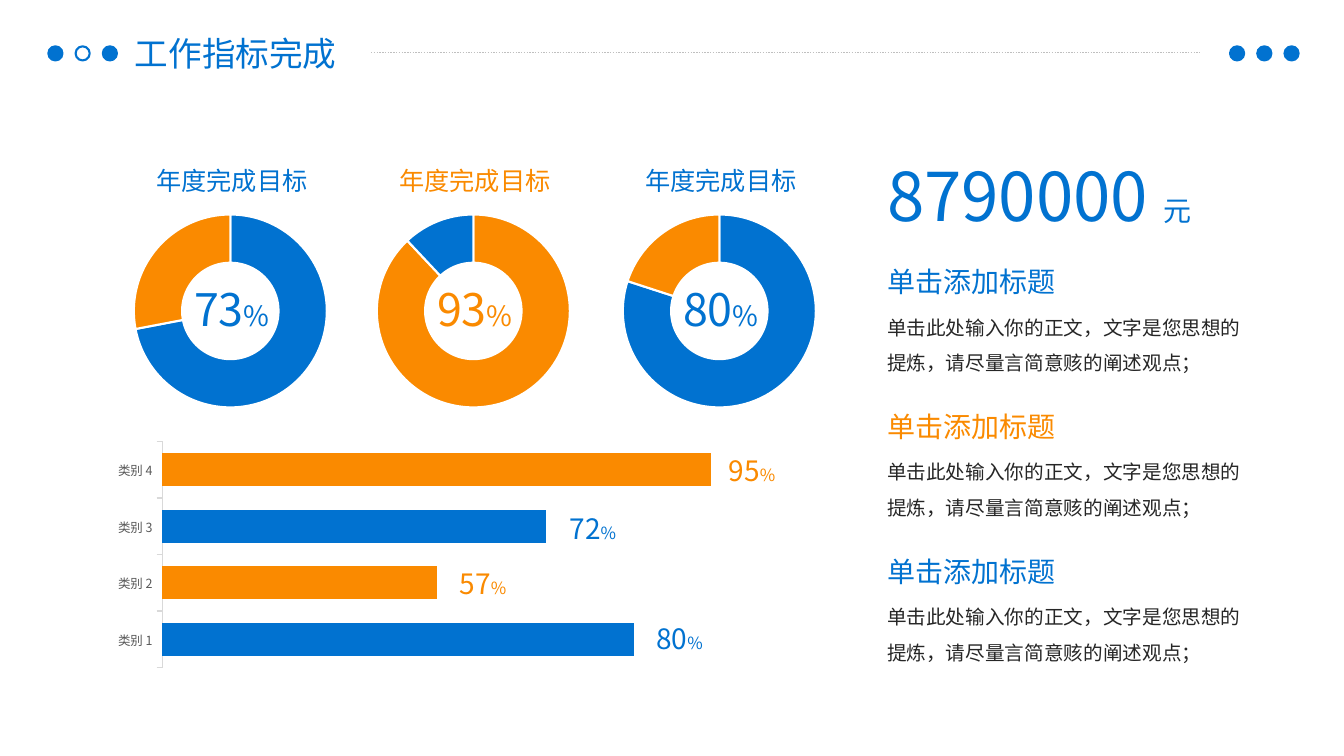
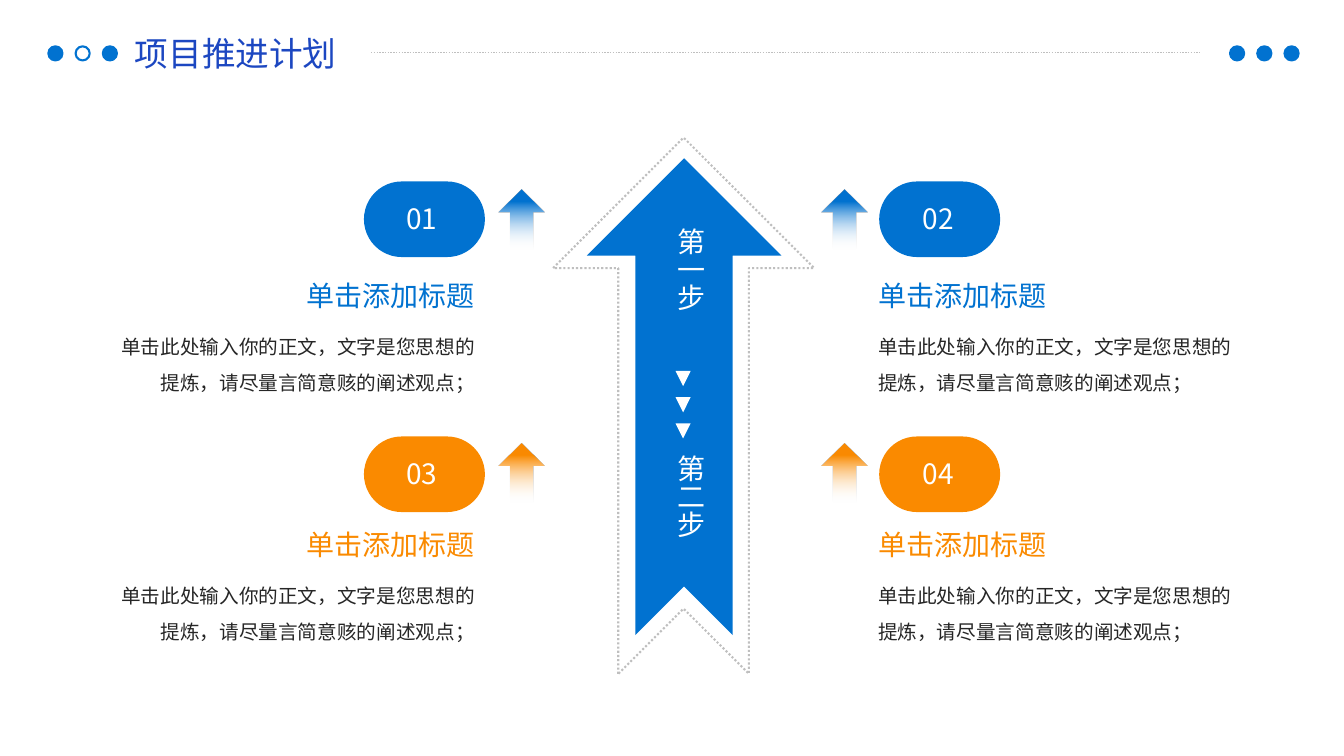
"""Build two report slides: work indicators and a project plan."""
import pptx
import pptx.chart.data
import pptx.dml.color
import pptx.enum.chart
import pptx.enum.dml
import pptx.enum.shapes
import pptx.enum.text
import pptx.oxml.ns
import pptx.util
from lxml import etree

Inches = pptx.util.Inches
Pt = pptx.util.Pt
qn = pptx.oxml.ns.qn
SHAPE = pptx.enum.shapes.MSO_SHAPE
ALIGN = pptx.enum.text.PP_ALIGN
CHART = pptx.enum.chart.XL_CHART_TYPE
DOTTED = pptx.enum.dml.MSO_LINE.ROUND_DOT

FONT = "Noto Sans CJK SC"
COLORS = {
    "blue": "0172D0",
    "orange": "FA8A00",
    "royal": "1C47C1",
    "text": "262626",
    "label": "595959",
    "axis": "D9D9D9",
    "dots": "BFBFBF",
    "white": "FFFFFF",
    "black": "000000",
}

HEADING = "单击添加标题"
BODY = "单击此处输入你的正文，文字是您思想的提炼，请尽量言简意赅的阐述观点；"

DOT_SIZE, DOT_STEP, DOT_TOP = 0.14, 0.27, 0.46
DOT_GROUPS = [(0.48, (True, False, True)), (12.2, (True, True, True))]

RING_TITLE = "年度完成目标"
RINGS = [
    (0.83, "73", (72, 28), ("blue", "orange")),
    (3.24, "93", (88, 12), ("orange", "blue")),
    (5.68, "80", (80, 20), ("blue", "orange")),
]
BARS = [
    ("类别 1", 86, "blue", "80", 6.41, 6.12),
    ("类别 2", 50, "orange", "57", 4.46, 5.57),
    ("类别 3", 70, "blue", "72", 5.55, 5.03),
    ("类别 4", 100, "orange", "95", 7.13, 4.45),
]
BAR_PLOT = {"x": 0.051, "y": 0.061, "w": 0.929, "h": 0.853}
NOTES = [(2.58, "blue"), (4.01, "orange"), (5.45, "blue")]

SIDES = [
    {"pill": 3.61, "number": 3.76, "arrow": 4.95, "heading": 2.23, "body": 1, "align": ALIGN.RIGHT},
    {"pill": 8.72, "number": 8.88, "arrow": 8.15, "heading": 8.61, "body": 8.61, "align": ALIGN.LEFT},
]
ROWS = [
    {"pill": 1.8, "arrow": 1.88, "heading": 2.65, "body": 3.16, "color": "blue", "numbers": ("01", "02")},
    {"pill": 4.33, "arrow": 4.4, "heading": 5.12, "body": 5.63, "color": "orange", "numbers": ("03", "04")},
]
STEPS = [("第一步", 2.16), ("第二步", 4.41)]


def rgb(name):
    return pptx.dml.color.RGBColor.from_string(COLORS[name])


def style_font(font, size, color):
    font.size = Pt(size)
    font.color.rgb = rgb(color)
    font.name = FONT
    etree.SubElement(font._rPr, qn("a:ea")).set("typeface", FONT)


def add_text(slide, box, runs, color, align=ALIGN.LEFT, spacing=None, vertical=False):
    shape = slide.shapes.add_textbox(*map(Inches, box))
    frame = shape.text_frame
    frame.word_wrap = True
    if vertical:
        frame._txBody.bodyPr.set("vert", "eaVert")
    else:
        frame.auto_size = pptx.enum.text.MSO_AUTO_SIZE.SHAPE_TO_FIT_TEXT
    paragraph = frame.paragraphs[0]
    paragraph.alignment = align
    if spacing:
        paragraph.line_spacing = spacing
    for text, size in runs:
        run = paragraph.add_run()
        run.text = text
        style_font(run.font, size, color)


def add_shape(shapes, kind, box, fill=None, line=None, width=1.5, rotation=0):
    shape = shapes.add_shape(kind, *map(Inches, box))
    shape.shadow.inherit = False
    shape.rotation = rotation
    if fill:
        shape.fill.solid()
        shape.fill.fore_color.rgb = rgb(fill)
    else:
        shape.fill.background()
    if line:
        shape.line.color.rgb = rgb(line)
        shape.line.width = Pt(width)
    else:
        shape.line.fill.background()
    return shape


def add_fading_arrow(slide, left, top, color):
    shape = add_shape(slide.shapes, SHAPE.UP_ARROW, (left, top, 0.45, 0.59))
    shape.fill.gradient()
    shape.fill.gradient_angle = 270
    for stop, position, name in zip(shape.fill.gradient_stops, (0.2, 1), (color, "white")):
        stop.position = position
        stop.color.rgb = rgb(name)
    last_color = shape._element.spPr.findall(".//" + qn("a:srgbClr"))[-1]
    etree.SubElement(last_color, qn("a:alpha")).set("val", "0")


def add_framed_slide(presentation, title, color):
    slide = presentation.slides.add_slide(presentation.slide_layouts[6])
    add_text(slide, (1.24, 0.28, 4.47, 0.5), [(title, 24)], color)
    for left, filled in DOT_GROUPS:
        group = slide.shapes.add_group_shape()
        for index, solid in enumerate(filled):
            box = (left + index * DOT_STEP, DOT_TOP, DOT_SIZE, DOT_SIZE)
            add_shape(group.shapes, SHAPE.OVAL, box, "blue" if solid else None, "blue")
    rule = slide.shapes.add_connector(
        pptx.enum.shapes.MSO_CONNECTOR.STRAIGHT, *map(Inches, (3.68, 0.52, 11.9, 0.52)))
    rule.line.color.rgb = rgb("dots")
    rule.line.width = Pt(1)
    rule.line.dash_style = DOTTED
    etree.SubElement(rule._element.spPr, qn("a:effectLst"))
    return slide


def add_chart(slide, kind, box, categories, series):
    data = pptx.chart.data.CategoryChartData()
    data.categories = categories
    for index, values in enumerate(series, 1):
        data.add_series(f"Series {index}", values)
    chart = slide.shapes.add_chart(kind, *map(Inches, box), data).chart
    chart.has_title = False
    chart.has_legend = False
    style_font(chart.font, 10, "black")
    return chart


def color_points(series, colors, outline=None):
    for index, color in enumerate(colors):
        point = series.points[index].format
        point.fill.solid()
        point.fill.fore_color.rgb = rgb(color)
        if outline:
            point.line.color.rgb = rgb(outline)
            point.line.width = Pt(1.5)


def add_ring(slide, left, number, values, colors):
    chart = add_chart(slide, CHART.DOUGHNUT, (left, 1.99, 2.91, 2.19), ("1", "2"), [values])
    plot = chart.plots[0]
    plot.vary_by_categories = True
    chart._chartSpace.find(".//" + qn("c:holeSize")).set("val", "67")
    color_points(plot.series[0], colors, "white")
    add_text(slide, (left + 0.42, 1.59, 2.1, 0.4), [(RING_TITLE, 18)], colors[0], ALIGN.CENTER)
    add_text(slide, (left + 0.7, 2.75, 1.54, 0.64), [(number, 32), ("%", 20)], colors[0], ALIGN.CENTER)


def set_plot_layout(chart, fractions):
    area = chart._chartSpace.find(".//" + qn("c:plotArea"))
    for layout in area.findall(qn("c:layout")):
        area.remove(layout)
    layout = etree.Element(qn("c:layout"))
    area.insert(0, layout)
    manual = etree.SubElement(layout, qn("c:manualLayout"))
    settings = [("layoutTarget", "inner"), ("xMode", "edge"), ("yMode", "edge"), *fractions.items()]
    for name, value in settings:
        etree.SubElement(manual, qn("c:" + name)).set("val", str(value))


def add_bars(slide):
    categories, values, colors, *_ = zip(*BARS)
    empty = (None,) * len(BARS)
    chart = add_chart(slide, CHART.BAR_STACKED, (1.17, 4.22, 7.11, 2.63),
                      categories, [values, empty, empty])
    set_plot_layout(chart, BAR_PLOT)
    plot = chart.plots[0]
    plot.vary_by_categories = False
    plot.gap_width = 71
    plot.overlap = 100
    for series, color in zip(plot.series, ("blue", "orange", "blue")):
        series.format.fill.solid()
        series.format.fill.fore_color.rgb = rgb(color)
    color_points(plot.series[0], colors)
    value_axis = chart.value_axis
    value_axis.minimum_scale = 0
    value_axis.maximum_scale = 120
    value_axis.has_major_gridlines = False
    value_axis.visible = False
    category_axis = chart.category_axis
    category_axis.major_tick_mark = pptx.enum.chart.XL_TICK_MARK.OUTSIDE
    category_axis.format.line.color.rgb = rgb("axis")
    category_axis.format.line.width = Pt(0.75)
    style_font(category_axis.tick_labels.font, 9, "label")
    for _, _, color, number, left, top in BARS:
        add_text(slide, (left, top, 0.99, 0.44), [(number, 20), ("%", 12)], color)


def build_indicators(presentation):
    slide = add_framed_slide(presentation, "工作指标完成", "blue")
    for ring in RINGS:
        add_ring(slide, *ring)
    add_bars(slide)
    add_text(slide, (8.7, 1.48, 3.74, 0.91), [("8790000 ", 48), ("元", 20)], "blue")
    for top, color in NOTES:
        add_text(slide, (8.7, top, 3.55, 0.44), [(HEADING, 20)], color)
        add_text(slide, (8.7, top + 0.39, 3.74, 0.81), [(BODY, 14)], "text", spacing=1.5)


def build_plan(presentation):
    slide = add_framed_slide(presentation, "项目推进计划", "royal")
    arrows = slide.shapes.add_group_shape().shapes
    outline = add_shape(arrows, SHAPE.NOTCHED_RIGHT_ARROW, (4.12, 2.73, 5.32, 2.59),
                        "white", "dots", rotation=270)
    outline.line.dash_style = DOTTED
    add_shape(arrows, SHAPE.NOTCHED_RIGHT_ARROW, (4.42, 2.97, 4.73, 1.93), "blue", rotation=270)
    for text, top in STEPS:
        add_text(slide, (6.5, top, 0.56, 1.46), [(text, 20)], "white", vertical=True)
    markers = slide.shapes.add_group_shape().shapes
    for index in range(3):
        box = (6.7, 3.68 + index * 0.26, 0.15, 0.15)
        add_shape(markers, SHAPE.ISOSCELES_TRIANGLE, box, "white", rotation=180)
    for row in ROWS:
        color = row["color"]
        for side, number in zip(SIDES, row["numbers"]):
            pill = add_shape(slide.shapes, SHAPE.ROUNDED_RECTANGLE,
                             (side["pill"], row["pill"], 1.2, 0.75), color)
            pill.adjustments[0] = 0.5
            add_text(slide, (side["number"], row["pill"] + 0.15, 0.85, 0.44),
                     [(number, 20)], "white", ALIGN.CENTER)
            add_fading_arrow(slide, side["arrow"], row["arrow"], color)
            add_text(slide, (side["heading"], row["heading"], 2.58, 0.5),
                     [(HEADING, 20)], color, side["align"], 1.2)
            add_text(slide, (side["body"], row["body"], 3.81, 0.81),
                     [(BODY, 14)], "text", side["align"], 1.5)


def main():
    presentation = pptx.Presentation()
    presentation.slide_width = Inches(13.33)
    presentation.slide_height = Inches(7.5)
    build_indicators(presentation)
    build_plan(presentation)
    presentation.save("out.pptx")


if __name__ == "__main__":
    main()
